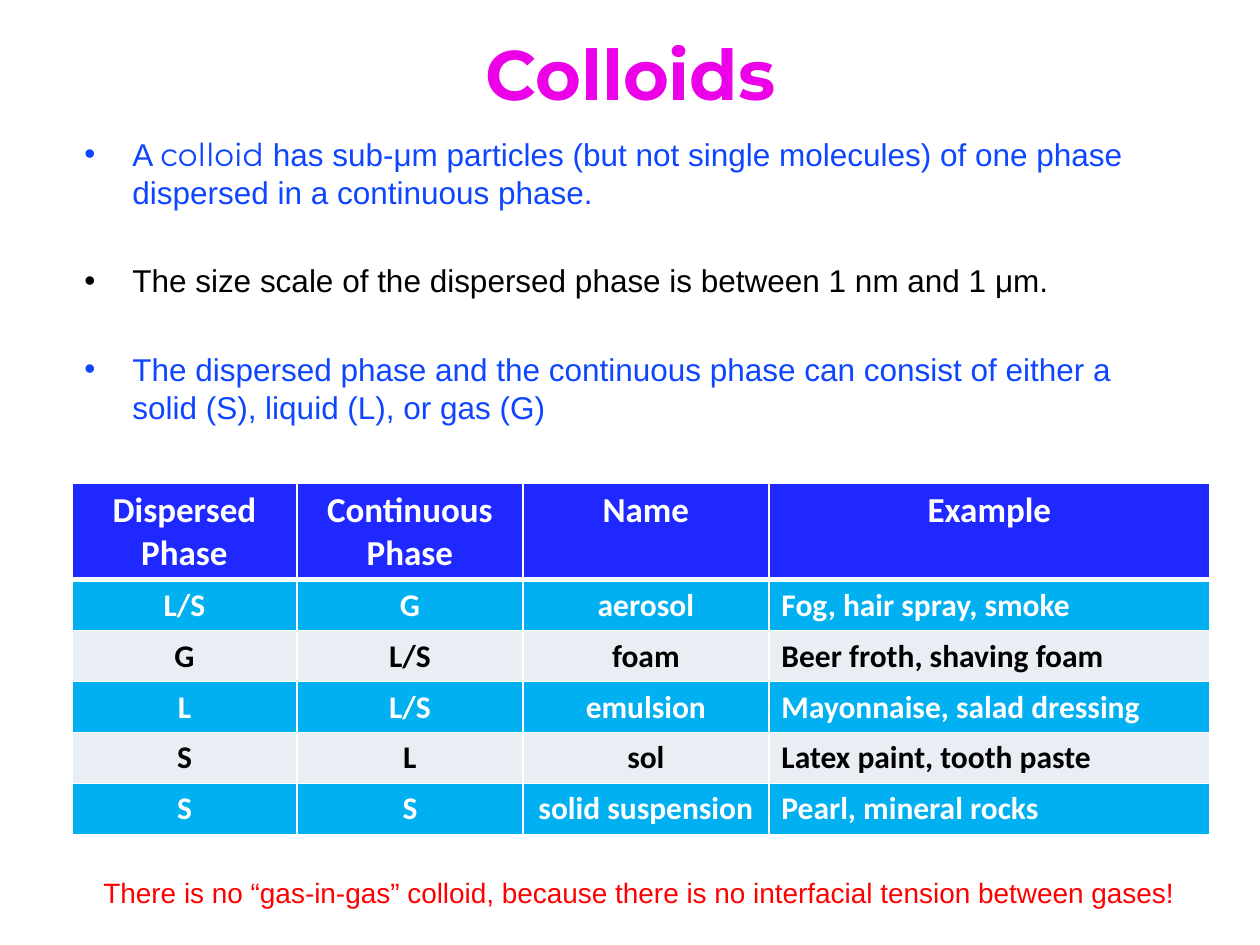
from pptx import Presentation
from pptx.dml.color import RGBColor as RGB
from pptx.enum.text import MSO_ANCHOR as Anchor, PP_ALIGN as Align
from pptx.oxml.ns import qn
from pptx.util import Emu, Pt
from lxml.etree import SubElement as Sub

BLUE, BLACK, WHITE = "0E46FF", "000000", "FFFFFF"


def px(n):
    return Emu(round(n * 914400 / 126))


def tint(code):
    return RGB.from_string(code)


def write(para, text, font="Arial", size=18, color=BLACK, bold=False, align=None):
    if align is not None:
        para.alignment = align
    run = para.add_run()
    run.text = text
    face = run.font
    face.name, face.size, face.bold = font, Pt(size), bold
    face.color.rgb = tint(color)


class Deck:
    head, body = "Montserrat", "Arial"
    grid = "Calibri"

    def __init__(self, wide, high):
        self.file = Presentation()
        self.file.slide_width, self.file.slide_height = px(wide), px(high)
        self.slide = self.file.slides.add_slide(self.file.slide_layouts[5])

    def title(self, text, box, color):
        shape = self.slide.shapes.title
        shape.left, shape.top, shape.width, shape.height = map(px, box)
        frame = shape.text_frame
        frame.vertical_anchor = Anchor.MIDDLE
        write(frame.paragraphs[0], text, self.head, 40, color, True, Align.CENTER)

    def frame(self, box):
        frame = self.slide.shapes.add_textbox(*map(px, box)).text_frame
        frame.word_wrap = True
        return frame

    def note(self, text, box, color):
        write(self.frame(box).paragraphs[0], text, self.body, 16, color)

    def points(self, items, box, gap, hang):
        frame = self.frame(box)
        for i, (color, parts) in enumerate(items):
            para = frame.add_paragraph() if i else frame.paragraphs[0]
            if i:
                para.space_before = Pt(gap)
            props = para._p.get_or_add_pPr()
            props.set("marL", str(px(hang)))
            props.set("indent", str(-px(hang)))
            Sub(props, qn("a:buFont"), typeface="Arial")
            Sub(props, qn("a:buChar"), char="•")
            for text, font in parts:
                write(para, text, font, 18, color)

    def edge(self, cell, foot):
        props = cell._tc.get_or_add_tcPr()
        for side, wide in (("L", 1), ("R", 1), ("T", 1), ("B", foot)):
            line = Sub(props, qn(f"a:ln{side}"), w=str(Pt(wide)))
            Sub(Sub(line, qn("a:solidFill")), qn("a:srgbClr"), val=WHITE)

    def table(self, rows, left, top, cols, highs, fills):
        box = map(px, (left, top, sum(cols), sum(highs)))
        table = self.slide.shapes.add_table(len(rows), len(cols), *box).table
        for col, wide in zip(table.columns, cols):
            col.width = px(wide)
        for r, row in enumerate(rows):
            table.rows[r].height = px(highs[r])
            fill = fills[0] if r == 0 else fills[2 - r % 2]
            for c, text in enumerate(row):
                cell = table.cell(r, c)
                self.edge(cell, 1 if r else 3)
                cell.fill.solid()
                cell.fill.fore_color.rgb = tint(fill)
                write(cell.text_frame.paragraphs[0], text, self.grid,
                      18 if r else 20, BLACK if r and r % 2 == 0 else WHITE, True,
                      Align.LEFT if r and c == 3 else Align.CENTER)


def main():
    deck = Deck(1260, 945)
    deck.title("Colloids", (95, 20, 1071, 106), "EB00E7")

    # Key points
    deck.points([
        (BLUE, [("A ", deck.body), ("colloid", deck.head),
                (" has sub-μm particles (but not single molecules) of one phase "
                 "dispersed in a continuous phase.", deck.body)]),
        (BLACK, [("The size scale of the dispersed phase is between "
                  "1 nm and 1 μm.", deck.body)]),
        (BLUE, [("The dispersed phase and the continuous phase can consist of "
                 "either a solid (S), liquid (L), or gas (G)", deck.body)]),
    ], (72, 129, 1111, 227), 29, 48)

    # Kinds of colloid
    deck.table([
        ("Dispersed Phase", "Continuous Phase", "Name", "Example"),
        ("L/S", "G", "aerosol", "Fog, hair spray, smoke"),
        ("G", "L/S", "foam", "Beer froth, shaving foam"),
        ("L", "L/S", "emulsion", "Mayonnaise, salad dressing"),
        ("S", "L", "sol", "Latex paint, tooth paste"),
        ("S", "S", "solid suspension", "Pearl, mineral rocks"),
    ], 72, 483, (225, 226, 246, 441), (96,) + (51,) * 5,
        ("1F29FF", "00B0F0", "E9EDF4"))

    # Closing remark
    deck.note("There is no “gas-in-gas” colloid, because there is no interfacial "
              "tension between gases!", (91, 869, 1217, 47), "FF0000")
    deck.file.save("out.pptx")


if __name__ == "__main__":
    main()
